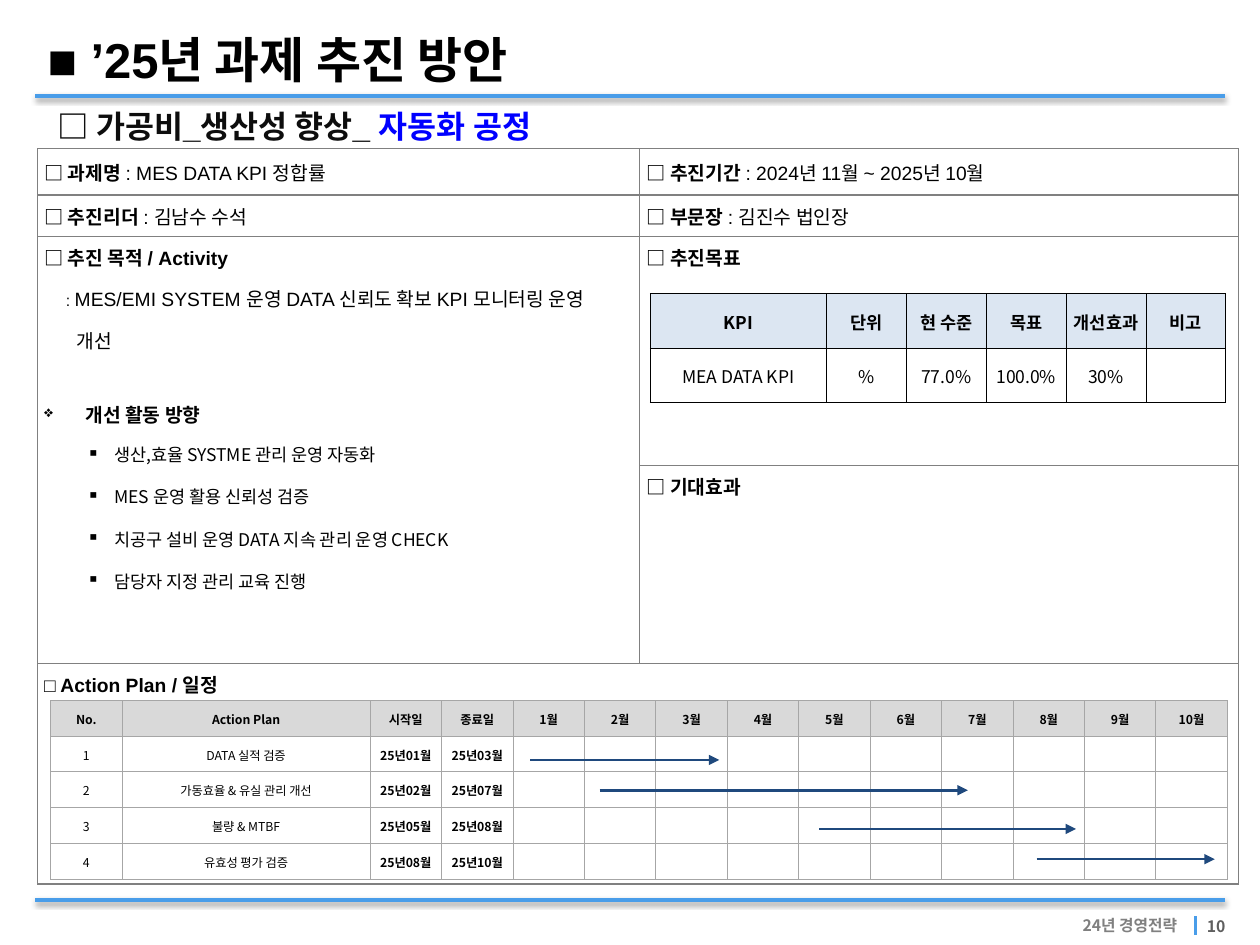
from dataclasses import dataclass, field

from lxml.etree import SubElement
from pptx import Presentation
from pptx.dml.color import RGBColor
from pptx.enum.shapes import MSO_CONNECTOR
from pptx.enum.text import MSO_ANCHOR, PP_ALIGN
from pptx.oxml.ns import qn
from pptx.util import Cm, Pt


@dataclass(frozen=True)
class Theme:
    latin: str = "Arial"
    korean: str = "Noto Sans CJK KR"
    black: str = "000000"
    heading: str = "0D0D0D"
    accent: str = "0000FF"
    rule: str = "499DE9"
    arrow: str = "1F497D"
    page: str = "5F5F5F"
    footer: str = "808080"
    frame: str = "808080"
    plan_border: str = "A6A6A6"
    plan_header: str = "D9D9D9"
    kpi_header: str = "DCE6F2"
    title_size: int = 28
    heading_size: int = 18
    body_size: int = 11
    list_size: int = 10
    small_size: int = 9
    plan_size: int = 7


@dataclass
class Para:
    runs: list
    format: dict = field(default_factory=dict)
    left: float = 0
    bullet: str = ""
    bullet_scale: int = 100


def set_all(target, values):
    for name, value in values.items():
        setattr(target, name, value)


class SlideBuilder:
    def __init__(self, slide, theme):
        self.slide = slide
        self.theme = theme

    def fill_text(self, frame, paras, size, font, bold=False, color=None):
        for index, para in enumerate(paras):
            line = frame.paragraphs[0] if index == 0 else frame.add_paragraph()
            props = line._p.get_or_add_pPr()
            if para.left:
                props.set("marL", str(Cm(para.left)))
            if para.bullet:
                props.set("indent", str(-Cm(para.left)))
                SubElement(props, qn("a:buSzPct"), val=str(para.bullet_scale * 1000))
                SubElement(props, qn("a:buChar"), char=para.bullet)
            set_all(line, para.format)
            for words, changes in para.runs:
                style = {"size": size, "bold": bold, "color": color or self.theme.black} | changes
                run = line.add_run()
                run.text = words
                set_all(run.font, {"name": font, "size": Pt(style["size"]), "bold": style["bold"]})
                run.font.color.rgb = RGBColor.from_string(style["color"])
                SubElement(run._r.get_or_add_rPr(), qn("a:ea"), typeface=self.theme.korean)
            if not para.runs:
                line._p.get_or_add_endParaRPr().set("sz", str(size * 100))

    def text(self, box, paras, size, font, anchor=MSO_ANCHOR.TOP, wrap=True, **style):
        frame = self.slide.shapes.add_textbox(*map(Cm, box)).text_frame
        set_all(frame, {"word_wrap": wrap, "vertical_anchor": anchor})
        self.fill_text(frame, paras, size, font, **style)

    def line(self, start, end, color, width, shadow=False, arrow=False):
        connector = self.slide.shapes.add_connector(
            MSO_CONNECTOR.STRAIGHT, *map(Cm, (*start, *end)))
        connector.line.color.rgb = RGBColor.from_string(color)
        connector.line.width = Pt(width)
        if arrow:
            SubElement(connector.line._get_or_add_ln(), qn("a:tailEnd"), type="triangle")
        effects = SubElement(connector._element.spPr, qn("a:effectLst"))
        if shadow:
            cast = SubElement(effects, qn("a:outerShdw"), blurRad=str(Pt(3.1)),
                              dist=str(Pt(1.6)), dir="5400000", rotWithShape="0")
            tint = SubElement(cast, qn("a:srgbClr"), val=self.theme.black)
            SubElement(tint, qn("a:alpha"), val="38000")

    def table(self, left, top, columns, rows):
        table = self.slide.shapes.add_table(
            len(rows), len(columns), Cm(left), Cm(top), Cm(sum(columns)), Cm(sum(rows))).table
        set_all(table, {"first_row": False, "horz_banding": False})
        for column, width in zip(table.columns, columns):
            column.width = Cm(width)
        for row, height in zip(table.rows, rows):
            row.height = Cm(height)
        return table

    def cell(self, cell, paras, border, width, margins, size, font,
             anchor=MSO_ANCHOR.MIDDLE, fill=None, **style):
        sides = ("margin_left", "margin_right", "margin_top", "margin_bottom")
        set_all(cell, dict(zip(sides, map(Cm, margins))) | {"vertical_anchor": anchor})
        self.fill_text(cell.text_frame, paras, size, font, **style)
        props = cell._tc.get_or_add_tcPr()
        for edge in ("lnL", "lnR", "lnT", "lnB"):
            outline = SubElement(props, qn(f"a:{edge}"), w=str(Pt(width)))
            SubElement(SubElement(outline, qn("a:solidFill")), qn("a:srgbClr"), val=border)
        if fill:
            cell.fill.solid()
            cell.fill.fore_color.rgb = RGBColor.from_string(fill)
        else:
            cell.fill.background()

    def data_table(self, left, top, columns, row_height, records, size, border,
                   header_fill, bold_columns=()):
        table = self.table(left, top, columns, [row_height] * len(records))
        for r, record in enumerate(records):
            for c in range(len(columns)):
                words = record[c] if c < len(record) else ""
                runs = [(words, {})] if words else []
                self.cell(table.cell(r, c), [Para(runs, {"alignment": PP_ALIGN.CENTER})],
                          border, 0.5, (0.03, 0.03, 0.03, 0), size, self.theme.korean,
                          fill=header_fill if r == 0 else None,
                          bold=r == 0 or c in bold_columns)


def main():
    theme = Theme()
    deck = Presentation()
    deck.slide_width, deck.slide_height = Cm(25.4), Cm(19.05)
    page = SlideBuilder(deck.slides.add_slide(deck.slide_layouts[6]), theme)
    bold = {"bold": True}
    small = {"size": theme.small_size}

    # Rules and footer
    for y in (1.93, 18.14):
        page.line((0.71, y), (24.69, y), theme.rule, 2, shadow=True)
    page.line((24.1, 18.47), (24.1, 18.85), theme.rule, 2.25)
    page.text((24.08, 18.47, 1.12, 0.51), [Para([("10", {})], {"line_spacing": 0.6})],
              theme.small_size, theme.korean, MSO_ANCHOR.MIDDLE, bold=True, color=theme.page)
    page.text((21.41, 18.34, 2.57, 0.64),
              [Para([("24년 경영전략", {})], {"alignment": PP_ALIGN.RIGHT})],
              theme.small_size, theme.korean, MSO_ANCHOR.MIDDLE, bold=True, color=theme.footer)

    # Title and heading
    page.text((0.71, 0.48, 18.8, 1.45), [Para([("■ ’25년 과제 추진 방안", {})])],
              theme.title_size, theme.latin, bold=True)
    heading = [("□ 가공비_생산성 향상", {"color": theme.heading}), ("_ ", {}),
               ("자동화 공정", {"color": theme.accent})]
    page.text((0.91, 1.96, 17.4, 1.27), [Para(heading, {"line_spacing": 0.85})],
              theme.heading_size, theme.latin, MSO_ANCHOR.MIDDLE, bold=True)

    # Project frame
    frame = page.table(0.76, 3, (12.14, 12.06), (0.93, 0.83, 4.63, 3.98, 4.45))
    frame.cell(2, 0).merge(frame.cell(3, 0))
    frame.cell(4, 0).merge(frame.cell(4, 1))
    facts = {
        (0, 0): ("□ 과제명 ", ": MES DATA KPI 정합률"),
        (0, 1): ("□ 추진기간 ", ": 2024년 11월 ~ 2025년 10월"),
        (1, 0): ("□ 추진리더 ", ": 김남수 수석"),
        (1, 1): ("□ 부문장 ", ": 김진수 법인장"),
    }
    purpose = [
        Para([("□ 추진 목적 / Activity", bold)]),
        Para([(": ", small), ("MES/EMI SYSTEM 운영 DATA 신뢰도 확보 KPI 모니터링 운영", {})],
             {"line_spacing": 1.5}, left=0.44),
        Para([("개선", {})], {"line_spacing": 1.5}, left=0.66),
        Para([("개선 활동 방향", bold)], {"space_before": Pt(26)}, left=0.83,
             bullet="❖", bullet_scale=82),
    ]
    sections = {position: [Para([(label, bold), (value, {})])]
                for position, (label, value) in facts.items()}
    sections |= {(2, 0): purpose, (2, 1): [Para([("□ 추진목표", bold)])],
                 (3, 1): [Para([("□ 기대효과", bold)])],
                 (4, 0): [Para([("□ Action Plan / 일정", bold)])]}
    for r in range(5):
        for c in range(2):
            page.cell(frame.cell(r, c), sections.get((r, c), [Para([])]), theme.frame, 0.75,
                      (0.13,) * 4, theme.body_size, theme.latin,
                      MSO_ANCHOR.MIDDLE if r < 2 else MSO_ANCHOR.TOP)

    # Improvement activities
    activities = ("생산,효율 SYSTME 관리 운영 자동화", "MES 운영 활용 신뢰성 검증",
                  "치공구 설비 운영 DATA 지속 관리 운영 CHECK", "담당자 지정 관리 교육 진행")
    page.text((1.5, 8.41, 8.64, 3.68),
              [Para([(activity, {})], {"line_spacing": 2.0}, left=0.56, bullet="▪")
               for activity in activities],
              theme.list_size, theme.korean, wrap=False)

    # Action plan schedule
    plan = [
        ("No.", "Action Plan", "시작일", "종료일", *(f"{month}월" for month in range(1, 11))),
        ("1", "DATA 실적 검증", "25년01월", "25년03월"),
        ("2", "가동효율 & 유실 관리 개선", "25년02월", "25년07월"),
        ("3", "불량 & MTBF", "25년05월", "25년08월"),
        ("4", "유효성 평가 검증", "25년08월", "25년10월"),
    ]
    narrow = 1.44
    page.data_table(1.02, 14.12, (narrow, 5, *[narrow] * 12), 0.72, plan, theme.plan_size,
                    theme.plan_border, theme.plan_header, bold_columns=(2, 3))
    for start, end, y in ((10.69, 14.5, 15.32), (12.09, 19.51, 15.93),
                          (16.51, 21.69, 16.71), (20.9, 24.49, 17.32)):
        page.line((start, y), (end, y), theme.arrow, 1.5, arrow=True)

    # KPI targets
    targets = [("KPI", "단위", "현 수준", "목표", "개선효과", "비고"),
               ("MEA DATA KPI", "%", "77.0%", "100.0%", "30%")]
    page.data_table(13.11, 5.92, (3.55, *[1.61] * 5), 1.1, targets, theme.list_size,
                    theme.black, theme.kpi_header)

    deck.save("out.pptx")


if __name__ == "__main__":
    main()
